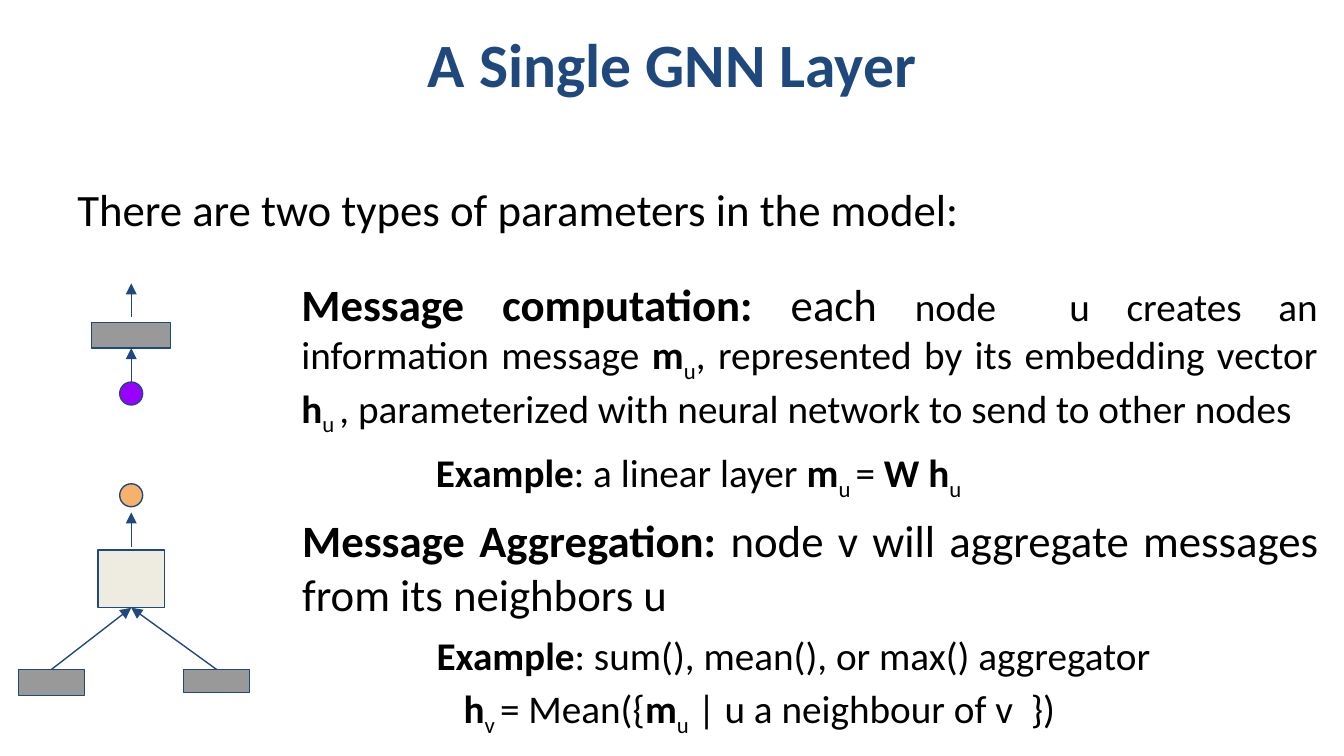
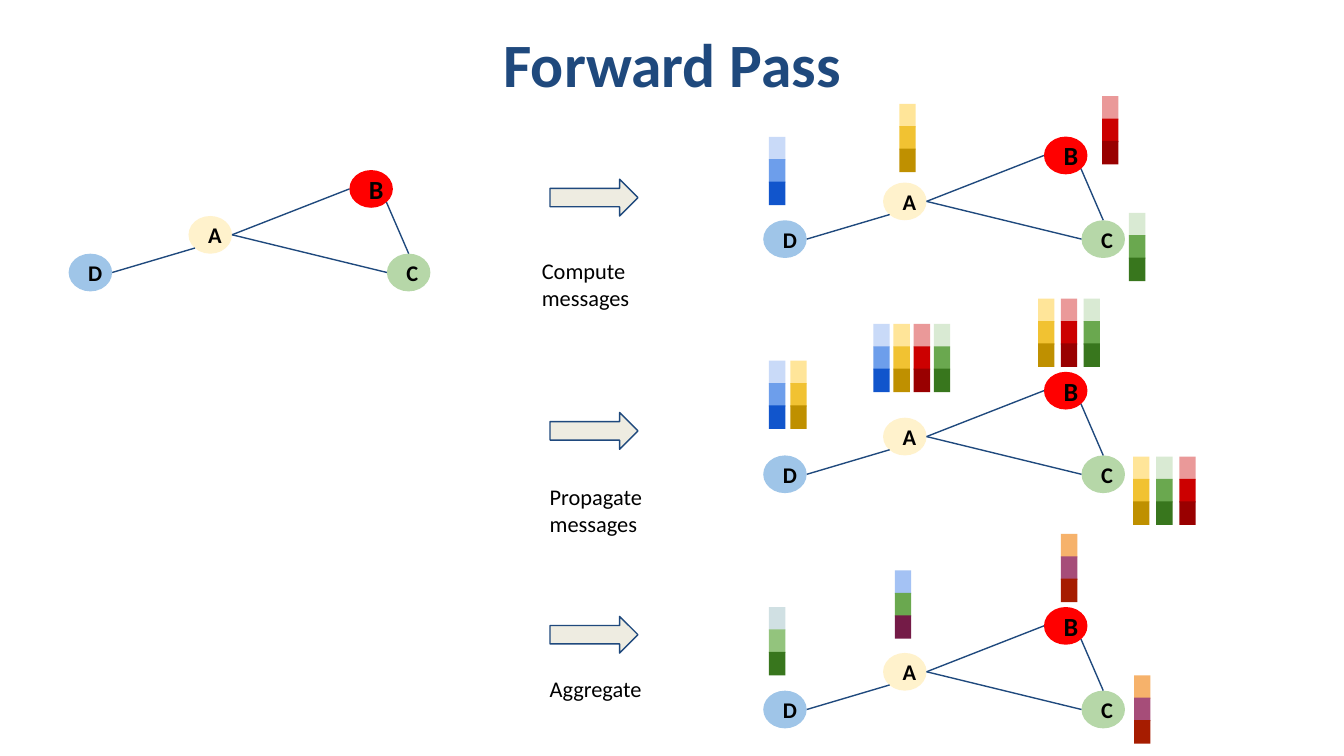
import pptx
import pptx.dml.color
import pptx.enum.shapes
import pptx.enum.text
import pptx.oxml.ns
import pptx.util
from lxml import etree

Pt = pptx.util.Pt
SHAPE = pptx.enum.shapes.MSO_SHAPE
ALIGN = pptx.enum.text.PP_ALIGN
ANCHOR = pptx.enum.text.MSO_ANCHOR

FONT = "Calibri"
NAVY, BLACK, CREAM, GREY = "1F497D", "000000", "EEECE1", "999999"
PURPLE, ORANGE = "9900FF", "F6B26B"
LINE_WIDTH = 0.75

# Vertical axis and dot size of the two diagrams on the layer slide.
AXIS, DOT = 70.3, 12.3

# Graph on the forward pass slide: offsets from the graph's top left corner.
NODE_W, NODE_H = 23.3, 20.2
NODES = {
    "A": (64.2, 24.6, "FFF2CC", 12),
    "B": (150.4, 0, "FF0000", 14),
    "C": (170.5, 44.8, "B6D7A8", 12),
    "D": (0, 44.8, "9FC5E8", 12),
}
# Places on a node's outline, as fractions of its width and height.
SITES = {
    "left": (0, 0.5),
    "right": (1, 0.5),
    "top": (0.5, 0),
    "low left": (0.15, 0.85),
    "low right": (0.85, 0.85),
}
EDGES = [
    ("A", "right", "B", "left"),
    ("B", "low right", "C", "top"),
    ("A", "right", "C", "left"),
    ("D", "right", "A", "low left"),
]
GRAPH_LEFT, GRAPH_TOP, GRAPH_STEP = 408.9, 73.2, 126

CELL_W, CELL_H, CELL_STEP = 8.8, 12.6, 12
EMBEDDINGS = {
    "blue": ("C9DAF8", "6D9EEB", "1155CC"),
    "yellow": ("FFE599", "F1C232", "BF9000"),
    "red": ("EA9999", "CC0000", "990000"),
    "green": ("D9EAD3", "6AA84F", "38761D"),
    "new A": ("A4C2F4", "6AA84F", "741B47"),
    "new B, C": ("F6B26B", "A64D79", "A61C00"),
    "new D": ("D0E0E3", "93C47D", "38761D"),
}
# Each step: label, its left and top, arrow top, then the embeddings at the
# nodes as left, top, distance between columns, columns.
STEPS = [
    ("Compute messages", 283.2, 130.4, 96, [
        (412, 73.3, 0, ["blue"]),
        (481.8, 55.6, 0, ["yellow"]),
        (590.4, 51.5, 0, ["red"]),
        (604.8, 114, 0, ["green"]),
    ]),
    ("Propagate messages", 287.4, 251.7, 221, [
        (412, 193.2, 11.4, ["blue", "yellow"]),
        (467.9, 173.5, 10.8, ["blue", "yellow", "red", "green"]),
        (556.1, 160, 12.2, ["yellow", "red", "green"]),
        (607, 244.6, 12.4, ["yellow", "green", "red"]),
    ]),
    ("Aggregate", 287.4, 354.5, 330.2, [
        (412, 325.2, 0, ["new D"]),
        (479.4, 305.6, 0, ["new A"]),
        (568.4, 286, 0, ["new B, C"]),
        (607.6, 361.8, 0, ["new B, C"]),
    ]),
]


def rgb(hex_code):
    return pptx.dml.color.RGBColor.from_string(hex_code)


def add_run(paragraph, text, size, style="", color=BLACK):
    """Style is "" for plain, "b" for bold, "sub" for subscript."""
    run = paragraph.add_run()
    run.text = text
    run.font.name = FONT
    run.font.size = Pt(size)
    run.font.bold = style == "b"
    run.font.color.rgb = rgb(color)
    if style == "sub":
        run._r.get_or_add_rPr().set("baseline", "-25000")


def set_frame(frame, inset_x=7.2, inset_y=7.2, anchor=ANCHOR.TOP):
    frame.word_wrap = True
    frame.margin_left = frame.margin_right = Pt(inset_x)
    frame.margin_top = frame.margin_bottom = Pt(inset_y)
    frame.vertical_anchor = anchor


def add_text(slide, left, top, width, height, paragraphs, align=ALIGN.LEFT, **frame_options):
    """Each paragraph is (indent, space before, runs)."""
    box = slide.shapes.add_textbox(Pt(left), Pt(top), Pt(width), Pt(height))
    frame = box.text_frame
    set_frame(frame, **frame_options)
    for number, (indent, space_before, runs) in enumerate(paragraphs):
        paragraph = frame.add_paragraph() if number else frame.paragraphs[0]
        paragraph.alignment = align
        if indent:
            paragraph._p.get_or_add_pPr().set("marL", str(Pt(indent)))
        if space_before:
            paragraph.space_before = Pt(space_before)
        for run in runs:
            add_run(paragraph, *run)


def add_title(slide, text):
    add_text(slide, 36, 0, 648.3, 67.5, [(0, 0, [(text, 33, "b", NAVY)])],
             ALIGN.CENTER, inset_x=5, inset_y=2.9, anchor=ANCHOR.MIDDLE)


def add_figure(shapes, kind, left, top, width, height, fill, outlined=True):
    figure = shapes.add_shape(kind, Pt(left), Pt(top), Pt(width), Pt(height))
    figure.shadow.inherit = False
    figure.fill.solid()
    figure.fill.fore_color.rgb = rgb(fill)
    if outlined:
        figure.line.color.rgb = rgb(NAVY)
        figure.line.width = Pt(LINE_WIDTH)
    else:
        figure.line.fill.background()
    return figure


def add_link(shapes, start, end, arrow=False):
    link = shapes.add_connector(pptx.enum.shapes.MSO_CONNECTOR.STRAIGHT,
                                *(Pt(value) for value in (*start, *end)))
    link.line.color.rgb = rgb(NAVY)
    link.line.width = Pt(LINE_WIDTH)
    if arrow:
        etree.SubElement(link.line._get_or_add_ln(), pptx.oxml.ns.qn("a:tailEnd"),
                         type="triangle")
    etree.SubElement(link._element.spPr, pptx.oxml.ns.qn("a:effectLst"))
    return link


def add_graph(slide, left, top):
    shapes = slide.shapes.add_group_shape().shapes
    for name, (x, y, fill, size) in NODES.items():
        node = add_figure(shapes, SHAPE.OVAL, left + x, top + y, NODE_W, NODE_H, fill, False)
        set_frame(node.text_frame, anchor=ANCHOR.MIDDLE)
        paragraph = node.text_frame.paragraphs[0]
        paragraph.alignment = ALIGN.CENTER
        add_run(paragraph, name, size, "b")

    def place(name, site):
        x, y = NODES[name][:2]
        across, down = SITES[site]
        return left + x + across * NODE_W, top + y + down * NODE_H

    for source, source_site, target, target_site in EDGES:
        add_link(shapes, place(source, source_site), place(target, target_site))


def add_embedding(slide, left, top, colors):
    shapes = slide.shapes.add_group_shape().shapes
    for row, color in enumerate(colors):
        add_figure(shapes, SHAPE.RECTANGLE, left, top + row * CELL_STEP,
                   CELL_W, CELL_H, color, False)


def add_message_diagram(slide):
    shapes = slide.shapes
    layer = add_figure(shapes, SHAPE.RECTANGLE, AXIS - 21.2, 172.8, 42.4, 13.7, GREY)
    node = add_figure(shapes, SHAPE.OVAL, AXIS - DOT / 2, 204.7, DOT, DOT, PURPLE)
    into_layer = add_link(shapes, (AXIS, 204.7), (AXIS, 186.5), arrow=True)
    into_layer.begin_connect(node, 0)
    into_layer.end_connect(layer, 2)
    add_link(shapes, (AXIS, 170), (AXIS, 151.8), arrow=True)


def add_aggregation_diagram(slide):
    shapes = slide.shapes
    width = 35.5
    aggregator = add_figure(shapes, SHAPE.RECTANGLE, AXIS - width / 2, 294.6, width, 31, CREAM)
    for left, height in ((9.9, 13.9), (98.2, 12.3)):
        message = add_figure(shapes, SHAPE.RECTANGLE, left, 358.6, width, height, GREY)
        into_aggregator = add_link(shapes, (left + width / 2, 358.6), (AXIS, 325.6), arrow=True)
        into_aggregator.begin_connect(message, 0)
        into_aggregator.end_connect(aggregator, 2)
    add_link(shapes, (AXIS, 293), (AXIS, 274.5), arrow=True)
    add_figure(shapes, SHAPE.OVAL, AXIS - DOT / 2, 259.2, DOT, DOT, ORANGE)


def build_layer_slide(slide):
    add_title(slide, "A Single GNN Layer")
    add_text(slide, 36, 94.5, 648, 34.5,
             [(0, 0, [("There are two types of parameters in the model:", 24)])],
             inset_x=5.4, inset_y=2.7)
    add_message_diagram(slide)
    add_aggregation_diagram(slide)
    add_text(slide, 154.4, 141, 558.7, 124.5, [
        (0, 0, [
            ("Message computation: ", 24, "b"), ("each ", 24),
            ("node  u creates an information message ", 21),
            ("m", 21, "b"), ("u", 21, "sub"),
            (", represented by its embedding vector ", 21),
            ("h", 21, "b"), ("u ", 21, "sub"),
            (", parameterized with neural network to send to other nodes", 21),
        ]),
        (72, 6, [
            ("Example", 21, "b"), (": a linear layer ", 21),
            ("m", 21, "b"), ("u ", 21, "sub"), ("= ", 21),
            ("W h", 21, "b"), ("u", 21, "sub"),
        ]),
    ], ALIGN.JUSTIFY)
    add_text(slide, 154.8, 267.6, 558.7, 134, [
        (0, 0, [
            ("Message Aggregation: ", 24, "b"),
            ("node v will aggregate messages from its neighbors u", 24),
        ]),
        (72, 6, [("Example", 21, "b"), (": sum(), mean(), or max() aggregator", 21)]),
        (86.5, 3, [
            ("h", 21, "b"), ("v ", 21, "sub"), ("= Mean({", 21),
            ("m", 21, "b"), ("u", 21, "sub"),
            (" | u a neighbour of v  })", 21),
        ]),
    ], ALIGN.JUSTIFY)


def build_forward_pass_slide(slide):
    add_title(slide, "Forward Pass")
    add_graph(slide, 36.8, 91.1)
    for number, (label, label_left, label_top, arrow_top, embeddings) in enumerate(STEPS):
        add_figure(slide.shapes, SHAPE.RIGHT_ARROW, 294.7, arrow_top, 47.1, 19.7, CREAM)
        add_text(slide, label_left, label_top, 75.4, 19.4, [(0, 0, [(label, 12)])])
        add_graph(slide, GRAPH_LEFT, GRAPH_TOP + number * GRAPH_STEP)
        for left, top, distance, columns in embeddings:
            for column, name in enumerate(columns):
                add_embedding(slide, left + column * distance, top, EMBEDDINGS[name])


def main():
    deck = pptx.Presentation()
    deck.slide_width, deck.slide_height = Pt(720), Pt(405)
    blank = deck.slide_layouts[6]
    for build in (build_layer_slide, build_forward_pass_slide):
        build(deck.slides.add_slide(blank))
    deck.save("out.pptx")


if __name__ == "__main__":
    main()
